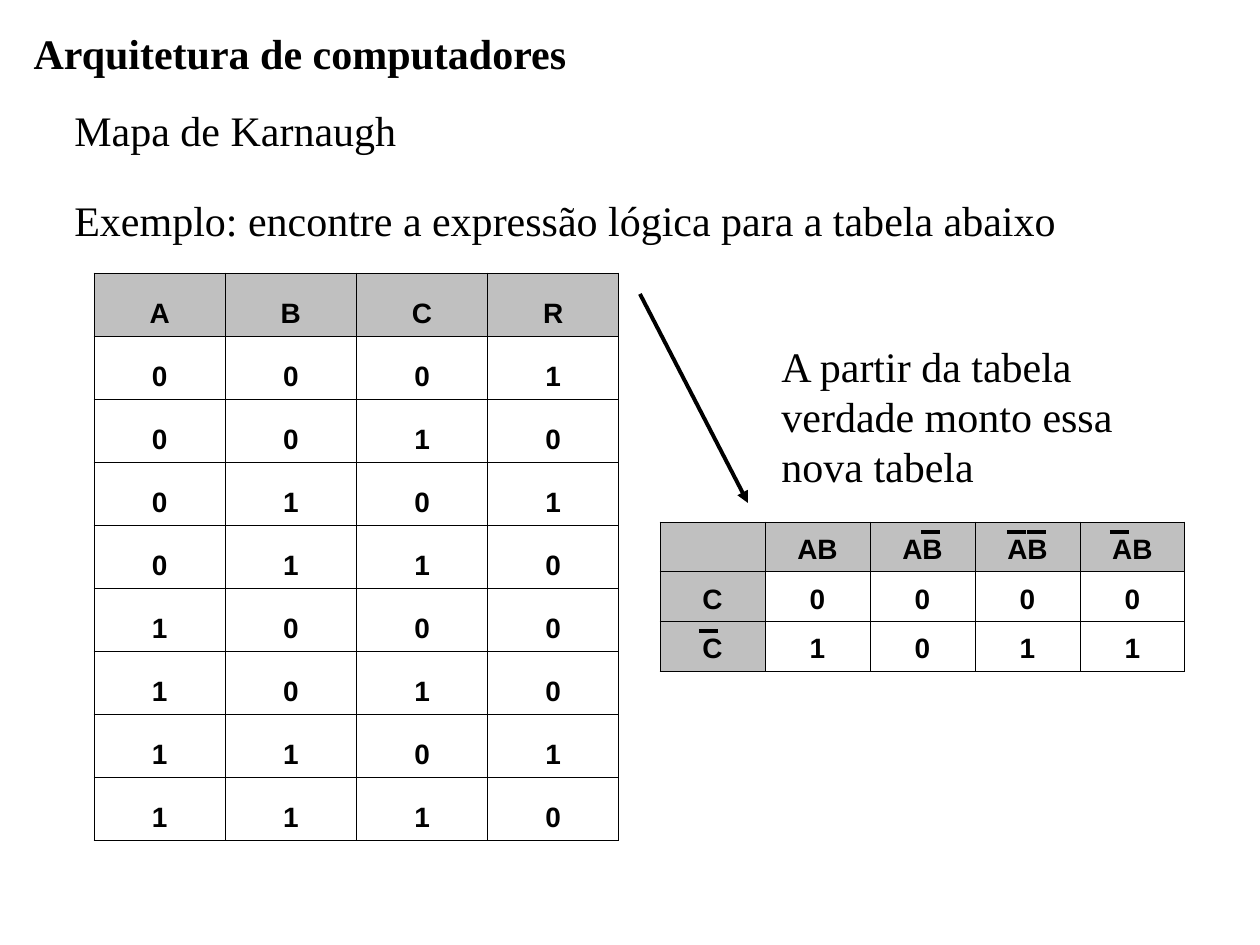
from dataclasses import dataclass
from itertools import product

from pptx import Presentation
from pptx.dml.color import RGBColor
from pptx.enum.shapes import MSO_CONNECTOR
from pptx.enum.text import MSO_ANCHOR, MSO_AUTO_SIZE, PP_ALIGN
from pptx.oxml.xmlchemy import OxmlElement
from pptx.util import Pt

EMU_PER_PX = 914400 / 126


def px(n: float) -> int:
    return round(n * EMU_PER_PX)


@dataclass(frozen=True)
class Theme:
    ink: RGBColor = RGBColor(0, 0, 0)
    header: RGBColor = RGBColor(0xC0, 0xC0, 0xC0)
    text_font: str = "Times New Roman"
    cell_font: str = "Arial"
    text_size: int = 24
    cell_size: int = 16
    border: float = 0.45
    stroke: float = 2.25


@dataclass(frozen=True)
class Label:
    text: str
    x: int
    y: int
    w: int
    h: int
    bold: bool = False


@dataclass(frozen=True)
class Grid:
    x: int
    y: int
    w: int
    h: int
    rows: list[list[str]]
    row_headers: bool = False


@dataclass(frozen=True)
class Stroke:
    x1: int
    y1: int
    x2: int
    y2: int
    arrow: bool = False


T = Theme()

TITLE = Label("Arquitetura de computadores", 21, 21, 560, 63, bold=True)
LABELS = [
    Label("Mapa de Karnaugh", 62, 98, 347, 63),
    Label("Exemplo: encontre a expressão lógica para a tabela abaixo", 62, 188, 1007, 63),
    Label("A partir da tabela\nverdade monto essa\nnova tabela", 769, 334, 357, 164),
]

RESULTS = "10100010"
TRUTH_TABLE = Grid(94, 273, 525, 567, [
    list("ABCR"),
    *([*bits, result] for bits, result in zip(product("01", repeat=3), RESULTS)),
])
KARNAUGH_MAP = Grid(660, 522, 525, 149, [
    ["", "AB", "AB", "AB", "AB"],
    ["C", *"0000"],
    ["C", *"1011"],
], row_headers=True)

# Left end and height of each negation bar
BAR_WIDTH = 19
NEGATIONS = [(921, 532), (1007, 532), (1110, 532), (1027, 532), (699, 631)]
STROKES = [Stroke(x, y, x + BAR_WIDTH, y) for x, y in NEGATIONS]
STROKES.append(Stroke(640, 294, 748, 503, arrow=True))


def write_label(sp, label: Label) -> None:
    sp.left, sp.top, sp.width, sp.height = map(px, (label.x, label.y, label.w, label.h))
    tf = sp.text_frame
    tf.text = label.text
    tf.auto_size = MSO_AUTO_SIZE.SHAPE_TO_FIT_TEXT
    tf.word_wrap = False
    tf.vertical_anchor = MSO_ANCHOR.TOP
    for p in tf.paragraphs:
        p.alignment = PP_ALIGN.LEFT
        for r in p.runs:
            format_font(r.font, T.text_font, T.text_size, label.bold)


def format_font(font, name: str, size: int, bold: bool) -> None:
    font.name, font.size, font.bold = name, Pt(size), bold
    font.color.rgb = T.ink


def add_borders(cell) -> None:
    tc_pr = cell._tc.get_or_add_tcPr()
    for side in ("lnL", "lnR", "lnT", "lnB"):
        ln = OxmlElement(f"a:{side}")
        ln.set("w", str(Pt(T.border)))
        fill = OxmlElement("a:solidFill")
        color = OxmlElement("a:srgbClr")
        color.set("val", str(T.ink))
        fill.append(color)
        ln.append(fill)
        tc_pr.append(ln)


def write_cell(cell, text: str, is_header: bool) -> None:
    cell.vertical_anchor = MSO_ANCHOR.BOTTOM
    add_borders(cell)
    if is_header:
        cell.fill.solid()
        cell.fill.fore_color.rgb = T.header
    else:
        cell.fill.background()
    p = cell.text_frame.paragraphs[0]
    p.text = text
    p.alignment = PP_ALIGN.CENTER
    for r in p.runs:
        format_font(r.font, T.cell_font, T.cell_size, True)
    if not text:  # keeps the empty cell from stretching its row
        end = OxmlElement("a:endParaRPr")
        end.set("sz", str(T.cell_size * 100))
        p._p.append(end)


def add_grid(s, grid: Grid) -> None:
    n_rows, n_cols = len(grid.rows), len(grid.rows[0])
    table = s.shapes.add_table(
        n_rows, n_cols, px(grid.x), px(grid.y), px(grid.w), px(grid.h)).table
    table.first_row = table.horz_banding = False
    for i, row in enumerate(grid.rows):
        for j, text in enumerate(row):
            write_cell(table.cell(i, j), text, i == 0 or (grid.row_headers and j == 0))


def add_stroke(s, stroke: Stroke) -> None:
    sp = s.shapes.add_connector(
        MSO_CONNECTOR.STRAIGHT, px(stroke.x1), px(stroke.y1), px(stroke.x2), px(stroke.y2))
    sp.line.color.rgb = T.ink
    sp.line.width = Pt(T.stroke)
    if stroke.arrow:
        tail = OxmlElement("a:tailEnd")
        tail.set("type", "triangle")
        sp.line._get_or_add_ln().append(tail)
    sp._element.spPr.append(OxmlElement("a:effectLst"))


def main() -> None:
    prs = Presentation()
    prs.slide_width, prs.slide_height = px(1260), px(945)
    s = prs.slides.add_slide(prs.slide_layouts[5])

    # Title and text
    write_label(s.shapes.title, TITLE)
    for label in LABELS:
        write_label(s.shapes.add_textbox(0, 0, 0, 0), label)

    # Truth table and Karnaugh map
    for grid in (TRUTH_TABLE, KARNAUGH_MAP):
        add_grid(s, grid)

    # Negation bars and arrow
    for stroke in STROKES:
        add_stroke(s, stroke)

    prs.save("out.pptx")


if __name__ == "__main__":
    main()
